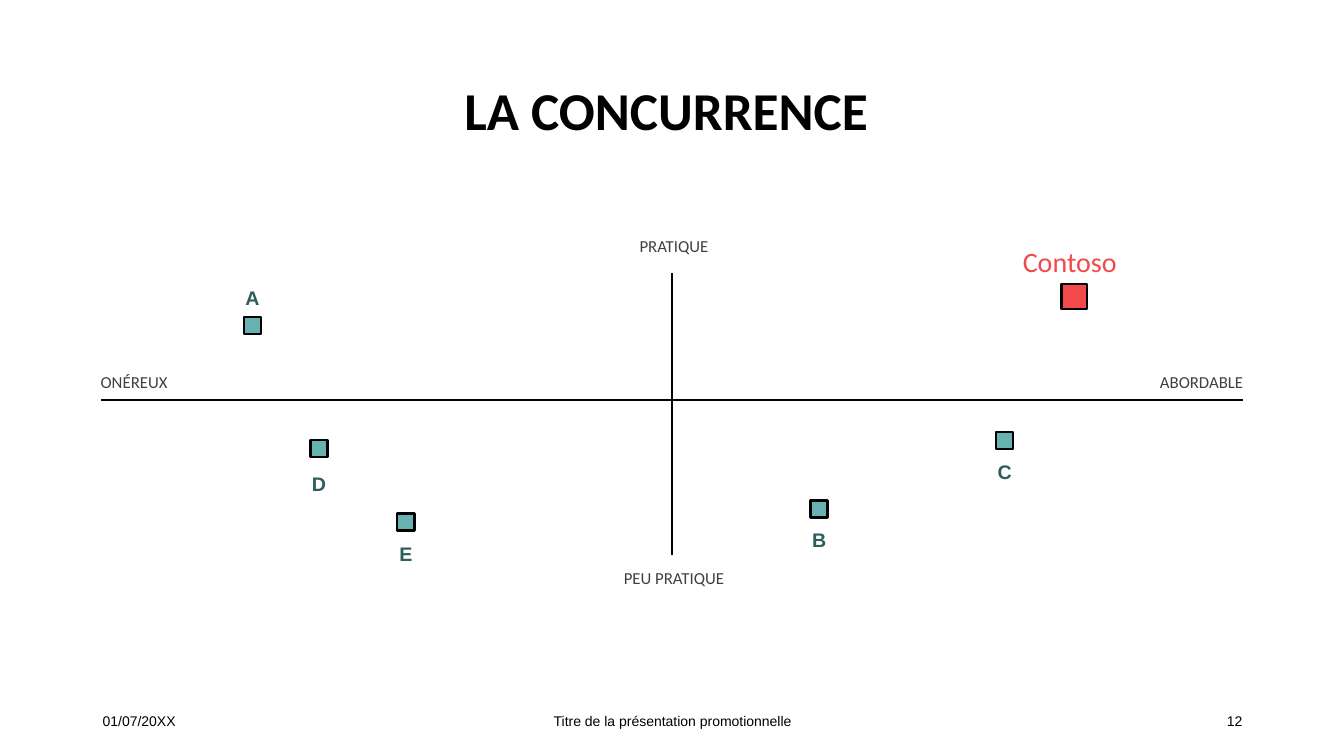
from dataclasses import dataclass

import pptx
import pptx.dml.color
import pptx.enum.shapes
import pptx.enum.text
import pptx.oxml.ns
import pptx.util
from lxml import etree

Inches = pptx.util.Inches
ALIGN = pptx.enum.text.PP_ALIGN
ANCHOR = pptx.enum.text.MSO_ANCHOR


@dataclass(frozen=True)
class Theme:
    black: str = "000000"
    grey: str = "404040"
    teal: str = "66B2B0"
    dark_teal: str = "2F5D5C"
    red: str = "F2494C"
    heading_font: str = "Calibri"
    body_font: str = "Arial"
    title_size: int = 38
    highlight_size: int = 20
    competitor_size: int = 14
    axis_size: int = 12
    footer_size: int = 10
    line_width: float = 1.75


THEME = Theme()


def rgb(color):
    return pptx.dml.color.RGBColor.from_string(color)


def add_text(slide, box, text, size, color, font, align=ALIGN.CENTER,
             anchor=ANCHOR.TOP, bold=False, spacing=1.0):
    frame = slide.shapes.add_textbox(*map(Inches, box)).text_frame
    frame.word_wrap = True
    frame.vertical_anchor = anchor
    paragraph = frame.paragraphs[0]
    paragraph.text = text
    paragraph.alignment = align
    paragraph.line_spacing = spacing
    paragraph.font.name = font
    paragraph.font.size = pptx.util.Pt(size)
    paragraph.font.bold = bold
    paragraph.font.color.rgb = rgb(color)


def add_axis(slide, x1, y1, x2, y2):
    axis = slide.shapes.add_connector(
        pptx.enum.shapes.MSO_CONNECTOR.STRAIGHT, *map(Inches, (x1, y1, x2, y2)))
    axis.line.color.rgb = rgb(THEME.black)
    axis.line.width = pptx.util.Pt(THEME.line_width)
    etree.SubElement(axis._element.spPr, pptx.oxml.ns.qn("a:effectLst"))


def add_marker(slide, center_x, center_y, side, color):
    marker = slide.shapes.add_shape(
        pptx.enum.shapes.MSO_SHAPE.RECTANGLE, Inches(center_x - side / 2),
        Inches(center_y - side / 2), Inches(side), Inches(side))
    marker.shadow.inherit = False
    marker.fill.solid()
    marker.fill.fore_color.rgb = rgb(color)
    marker.line.color.rgb = rgb(THEME.black)
    marker.line.width = pptx.util.Pt(THEME.line_width)


def add_title(slide, box):
    # The trailing space sets the title slightly left of centre
    add_text(slide, box, "LA CONCURRENCE ", THEME.title_size, THEME.black,
             THEME.heading_font, anchor=ANCHOR.MIDDLE, bold=True, spacing=0.9)


def add_positioning_map(slide, box):
    left, top, width, height = box
    right, bottom = left + width, top + height
    center_x, axis_y = left + width / 2, top + 1.66

    # Axes
    add_axis(slide, left, axis_y, right, axis_y)
    add_axis(slide, center_x, top + 0.4, center_x, bottom - 0.4)

    # Axis labels
    label_width, label_height, inset = 2.2, 0.3, 0.1
    middle = center_x - label_width / 2 + 0.02
    side_top = axis_y - 0.31
    for text, x, y, align in (
        ("PRATIQUE", middle, top, ALIGN.CENTER),
        ("PEU PRATIQUE", middle, bottom - label_height, ALIGN.CENTER),
        ("ONÉREUX", left - inset, side_top, ALIGN.LEFT),
        ("ABORDABLE", right + inset - label_width, side_top, ALIGN.RIGHT),
    ):
        add_text(slide, (x, y, label_width, label_height), text, THEME.axis_size,
                 THEME.grey, THEME.heading_font, align, spacing=0.9)

    # Competitors: marker centre from the crossing, label top from the marker
    for name, dx, dy, label_dy in (
        ("A", -4.16, -0.74, -0.44),
        ("B", 1.46, 1.08, 0.14),
        ("C", 3.3, 0.4, 0.14),
        ("D", -3.5, 0.48, 0.18),
        ("E", -2.64, 1.21, 0.15),
    ):
        x, y = center_x + dx, axis_y + dy
        add_marker(slide, x, y, 0.17, THEME.teal)
        add_text(slide, (x - 1.15, y + label_dy, 2.3, 0.34), name,
                 THEME.competitor_size, THEME.dark_teal, THEME.body_font, bold=True)

    # Highlighted company
    x, y = center_x + 3.99, axis_y - 1.03
    add_marker(slide, x, y, 0.25, THEME.red)
    add_text(slide, (x - 0.87, y - 0.56, 1.65, 0.44), "Contoso",
             THEME.highlight_size, THEME.red, THEME.heading_font)


def add_footer(slide, box):
    left, top, width, height = box
    side, middle = 3, 4.5
    for text, x, part_width, align in (
        ("01/07/20XX", left, side, ALIGN.LEFT),
        ("Titre de la présentation promotionnelle",
         left + (width - middle) / 2, middle, ALIGN.CENTER),
        ("12", left + width - side, side, ALIGN.RIGHT),
    ):
        add_text(slide, (x, top, part_width, height), text, THEME.footer_size,
                 THEME.black, THEME.body_font, align, ANCHOR.MIDDLE)


def main():
    presentation = pptx.Presentation()
    presentation.slide_width = Inches(13.33)
    presentation.slide_height = Inches(7.5)
    slide = presentation.slides.add_slide(presentation.slide_layouts[6])
    add_title(slide, (0.92, 0.4, 11.5, 1.45))
    add_positioning_map(slide, (1, 2.31, 11.33, 3.6))
    add_footer(slide, (0.92, 6.95, 11.5, 0.4))
    presentation.save("out.pptx")


if __name__ == "__main__":
    main()
